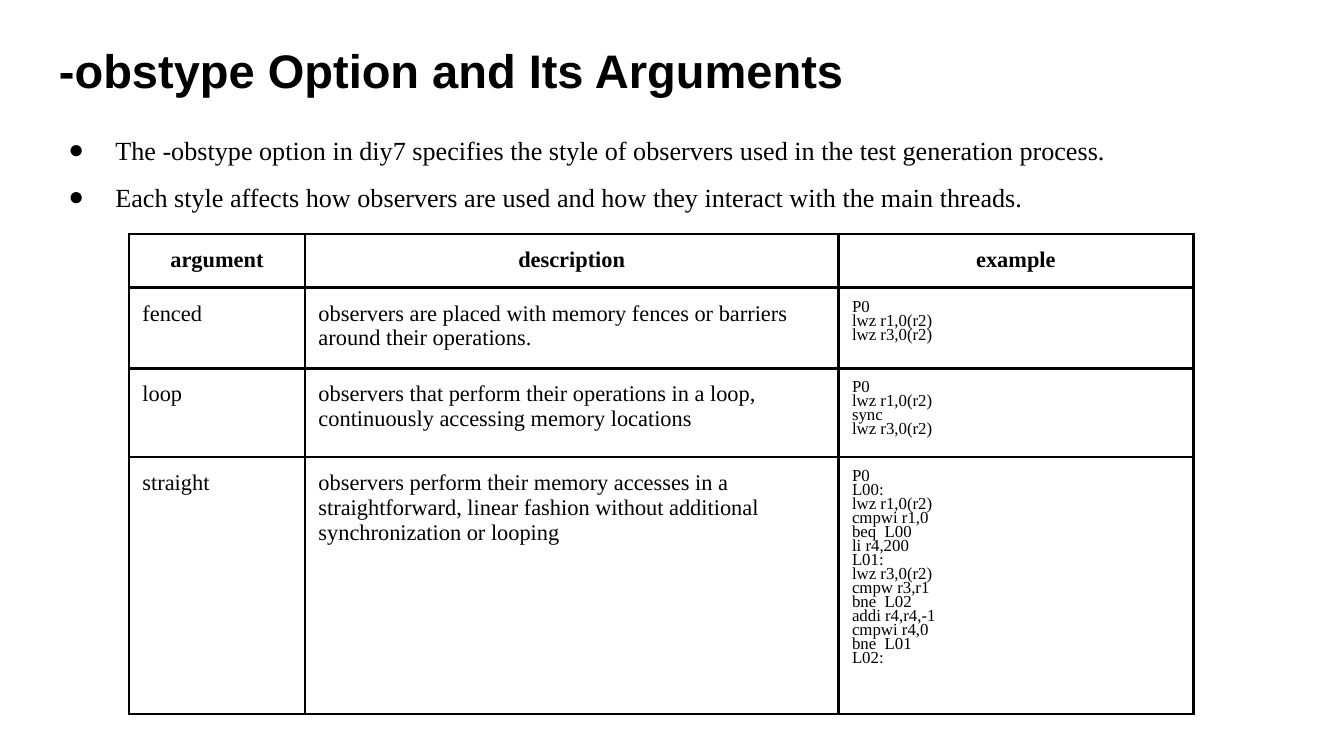
from pptx import Presentation
from pptx.dml.color import RGBColor
from pptx.enum.text import MSO_ANCHOR, PP_ALIGN
from pptx.oxml.ns import qn
from pptx.util import Inches, Pt
from lxml import etree

BLACK = RGBColor(0, 0, 0)
WHITE = RGBColor(255, 255, 255)
SANS = "Arial"
SERIF = "Times New Roman"
TOP = MSO_ANCHOR.TOP
BOTTOM = MSO_ANCHOR.BOTTOM
CENTER = PP_ALIGN.CENTER
LEFT = PP_ALIGN.LEFT
PAD = Inches(0.1)

TITLE = "-obstype Option and Its Arguments"
POINTS = [
    "The -obstype option in diy7 specifies the style of observers used in the test generation process.",
    "Each style affects how observers are used and how they interact with the main threads.",
]
HEADS = ["argument", "description", "example"]
STYLES = [
    ("fenced",
     "observers are placed with memory fences or barriers around their operations.",
     ["P0", "lwz r1,0(r2)", "lwz r3,0(r2)"]),
    ("loop",
     "observers that perform their operations in a loop, continuously accessing memory locations",
     ["P0", "lwz r1,0(r2)", "sync", "lwz r3,0(r2)"]),
    ("straight",
     "observers perform their memory accesses in a straightforward, linear fashion "
     "without additional synchronization or looping",
     ["P0", "L00:", "lwz r1,0(r2)", "cmpwi r1,0", "beq  L00", "li r4,200", "L01:",
      "lwz r3,0(r2)", "cmpw r3,r1", "bne  L02", "addi r4,r4,-1", "cmpwi r4,0",
      "bne  L01", "L02:"]),
]
COLS = [1.31, 3.97, 2.64]
ROWS = [0.33, 0.54, 0.66, 1.91]


def write(frame, lines, size, font=SERIF, bold=False, align=LEFT, space=None):
    """Fill a text frame with one paragraph per line."""
    frame.text = "\n".join(lines)
    for para in frame.paragraphs:
        para.alignment = align
        para.line_spacing = space
        for run in para.runs:
            run.font.size = Pt(size)
            run.font.name = font
            run.font.bold = bold
            run.font.color.rgb = BLACK


def add_box(slide, left, top, width, height, anchor=TOP):
    box = slide.shapes.add_textbox(Inches(left), Inches(top), Inches(width), Inches(height))
    frame = box.text_frame
    frame.word_wrap = True
    frame.vertical_anchor = anchor
    frame.margin_left = frame.margin_right = PAD
    frame.margin_top = frame.margin_bottom = PAD
    return frame


def add_bullet(para):
    props = para._p.get_or_add_pPr()
    props.set("marL", str(Inches(0.5)))
    props.set("indent", str(Inches(-0.35)))
    color = etree.SubElement(props, qn("a:buClr"))
    etree.SubElement(color, qn("a:srgbClr"), val=str(BLACK))
    etree.SubElement(props, qn("a:buFont"), typeface=SERIF)
    etree.SubElement(props, qn("a:buChar"), char="●")


def style_cell(cell):
    """Give a cell its padding, black borders and no fill."""
    cell.margin_left = cell.margin_right = PAD
    cell.margin_top = cell.margin_bottom = PAD
    cell.vertical_anchor = TOP
    props = cell._tc.get_or_add_tcPr()
    for side in ("a:lnL", "a:lnR", "a:lnT", "a:lnB"):
        line = etree.SubElement(props, qn(side), w=str(Pt(1.5)))
        fill = etree.SubElement(line, qn("a:solidFill"))
        etree.SubElement(fill, qn("a:srgbClr"), val=str(BLACK))
    cell.fill.background()


def add_grid(slide, left, top):
    shape = slide.shapes.add_table(len(ROWS), len(COLS), Inches(left), Inches(top),
                                   Inches(sum(COLS)), Inches(sum(ROWS)))
    table = shape.table
    table.horz_banding = False
    for col, width in zip(table.columns, COLS):
        col.width = Inches(width)
    for row, height in zip(table.rows, ROWS):
        row.height = Inches(height)
    for cell in table.iter_cells():
        style_cell(cell)

    # Header row
    for col, head in enumerate(HEADS):
        write(table.cell(0, col).text_frame, [head], 12, bold=True, align=CENTER)

    # One row for each observer style
    for row, (name, about, code) in enumerate(STYLES, 1):
        write(table.cell(row, 0).text_frame, [name], 12)
        frame = table.cell(row, 1).text_frame
        write(frame, [about], 12)
        frame.paragraphs[0].space_before = Pt(12)
        frame.paragraphs[0].space_after = Pt(12)
        write(table.cell(row, 2).text_frame, code, 9, space=0.75)


def main():
    # Widescreen page, 16 to 9
    deck = Presentation()
    deck.slide_width = Inches(10)
    deck.slide_height = Inches(10 * 9 / 16)
    slide = deck.slides.add_slide(deck.slide_layouts[6])
    slide.background.fill.solid()
    slide.background.fill.fore_color.rgb = WHITE

    # Title
    title = add_box(slide, 0.34, 0.2, 9.32, 0.63, BOTTOM)
    write(title, [TITLE], 25.2, SANS, bold=True)

    # Bullet points
    body = add_box(slide, 0.26, 0.78, 9.32, 0.96)
    write(body, POINTS, 14, space=1.5)
    body.paragraphs[0].space_before = Pt(12)
    for para in body.paragraphs:
        add_bullet(para)

    # Table of arguments
    add_grid(slide, 0.96, 1.74)
    deck.save("out.pptx")


if __name__ == "__main__":
    main()
